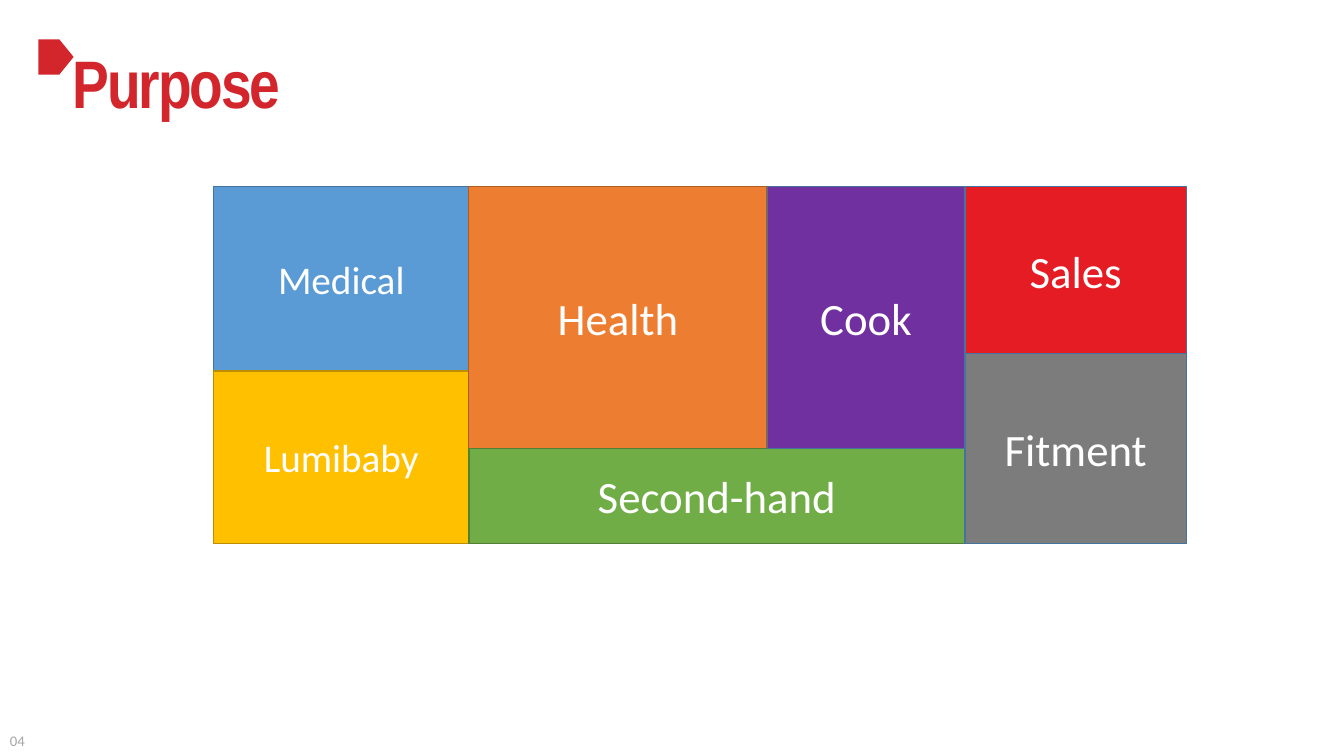
from dataclasses import dataclass

from pptx import Presentation
from pptx.dml.color import RGBColor
from pptx.enum.shapes import MSO_SHAPE as Shape
from pptx.enum.text import MSO_ANCHOR as Anchor, PP_ALIGN as Align
from pptx.util import Emu, Pt

EMU_PER_PX = 9144  # 100 px to the inch
RED = "D3252C"
BLUE_EDGE = "43739E"

# Edges of the mosaic
LEFT, HEALTH_X, COOK_X, SALES_X, RIGHT = 212, 465, 761, 957, 1177
TOP, FITMENT_Y, BABY_Y, SECOND_Y, BOTTOM = 185, 351, 368, 445, 539


@dataclass(frozen=True)
class Tile:
    label: str
    left: int
    top: int
    right: int
    bottom: int
    fill: str
    edge: str
    size: int = 32


TILES = [
    Tile("Medical", LEFT, TOP, HEALTH_X, BABY_Y, "5B9BD5", BLUE_EDGE, 28),
    Tile("Lumibaby", LEFT, BABY_Y, HEALTH_X, BOTTOM, "FFC000", "BD8E00", 28),
    Tile("Health", HEALTH_X, TOP, COOK_X, SECOND_Y, "ED7D31", "AF5C24"),
    Tile("Second-hand", HEALTH_X, SECOND_Y, SALES_X, BOTTOM, "70AD47", "538035"),
    Tile("Cook", COOK_X, TOP, SALES_X, SECOND_Y, "7030A0", BLUE_EDGE),
    Tile("Sales", SALES_X, TOP, RIGHT, FITMENT_Y, "E51C24", BLUE_EDGE),
    Tile("Fitment", SALES_X, FITMENT_Y, RIGHT, BOTTOM, "7C7C7C", BLUE_EDGE),
]


def px(length: int) -> Emu:
    return Emu(length * EMU_PER_PX)


def rgb(color: str) -> RGBColor:
    return RGBColor.from_string(color)


def write(frame, text: str, size: float, color: str, font: str = "Calibri",
          align: Align = Align.LEFT):
    paragraph = frame.paragraphs[0]
    paragraph.text = text
    paragraph.alignment = align
    paragraph.font.name = font
    paragraph.font.size = Pt(size)
    paragraph.font.color.rgb = rgb(color)
    return paragraph


def add_title(slide) -> None:
    title = slide.shapes.title
    title.left, title.top, title.width, title.height = map(px, (62, 36, 250, 91))
    frame = title.text_frame
    frame.word_wrap = True
    frame.margin_right = 0
    frame.vertical_anchor = Anchor.TOP
    heading = write(frame, "Purpose", 48, RED, "Arial Narrow")
    heading.font.bold = True
    heading.runs[0].font._element.set("spc", "-150")


def add_marker(slide) -> None:
    marker = slide.shapes.add_shape(Shape.PENTAGON, px(38), px(39), px(35), px(35))
    marker.adjustments[0] = 0.405
    marker.shadow.inherit = False
    marker.fill.solid()
    marker.fill.fore_color.rgb = rgb(RED)
    marker.line.fill.background()


def add_page_number(slide) -> None:
    page_number = slide.shapes.add_textbox(px(0), px(721), px(36), px(29))
    page_number.text_frame.word_wrap = False
    write(page_number.text_frame, "04", 10.5, "A6A6A6")


def add_tile(slide, tile: Tile) -> None:
    box = slide.shapes.add_shape(
        Shape.RECTANGLE, px(tile.left), px(tile.top),
        px(tile.right - tile.left), px(tile.bottom - tile.top))
    box.shadow.inherit = False
    box.fill.solid()
    box.fill.fore_color.rgb = rgb(tile.fill)
    box.line.color.rgb = rgb(tile.edge)
    box.line.width = Pt(1)
    box.text_frame.vertical_anchor = Anchor.MIDDLE
    write(box.text_frame, tile.label, tile.size, "FFFFFF", align=Align.CENTER)


def main() -> None:
    deck = Presentation()
    deck.slide_width, deck.slide_height = px(1333), px(750)
    slide = deck.slides.add_slide(deck.slide_layouts[5])

    # Heading and page number
    add_title(slide)
    add_marker(slide)
    add_page_number(slide)

    # Mosaic of purposes
    for tile in TILES:
        add_tile(slide, tile)

    deck.save("out.pptx")


if __name__ == "__main__":
    main()
